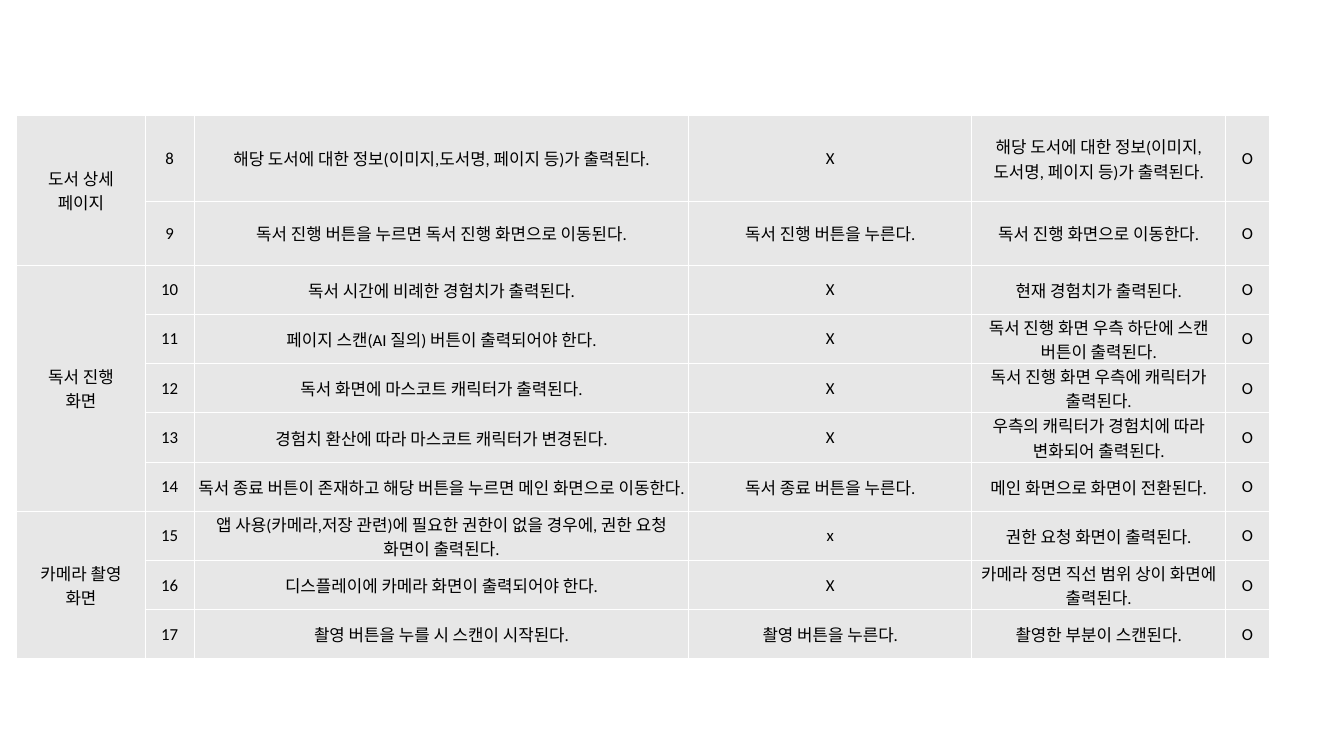
from dataclasses import dataclass

from lxml import etree
from pptx import Presentation
from pptx.dml.color import RGBColor
from pptx.enum import text
from pptx.oxml import ns
from pptx.util import Inches, Pt

BLACK = RGBColor(0x00, 0x00, 0x00)
GRAY = RGBColor(0xE7, 0xE7, 0xE7)
WHITE = RGBColor(0xFF, 0xFF, 0xFF)
FONT = "Calibri"

WIDTHS = [1.91, 0.73, 7.36, 4.21, 3.78, 0.65]
TALL, ROW = 1.29, 0.73
FIRST = 8  # number of the first test
WIDE = (0.21, 0.11, 0.21, 0.11)
TIGHT = (0.01, 0.01, 0.01, 0)


@dataclass
class Test:
    need: str
    result: str
    action: str = "X"
    mark: str = "O"


@dataclass
class Screen:
    name: str
    tests: list[Test]


SCREENS = [
    Screen("도서 상세 페이지", [
        Test("해당 도서에 대한 정보(이미지,도서명, 페이지 등)가 출력된다.",
             "해당 도서에 대한 정보(이미지, 도서명, 페이지 등)가 출력된다."),
        Test("독서 진행 버튼을 누르면 독서 진행 화면으로 이동된다.",
             "독서 진행 화면으로 이동한다.", "독서 진행 버튼을 누른다."),
    ]),
    Screen("독서 진행 화면", [
        Test("독서 시간에 비례한 경험치가 출력된다.",
             "현재 경험치가 출력된다."),
        Test("페이지 스캔(AI 질의) 버튼이 출력되어야 한다.",
             "독서 진행 화면 우측 하단에 스캔 버튼이 출력된다."),
        Test("독서 화면에 마스코트 캐릭터가 출력된다.",
             "독서 진행 화면 우측에 캐릭터가 출력된다."),
        Test("경험치 환산에 따라 마스코트 캐릭터가 변경된다.",
             "우측의 캐릭터가 경험치에 따라 변화되어 출력된다."),
        Test("독서 종료 버튼이 존재하고 해당 버튼을 누르면 메인 화면으로 이동한다.",
             "메인 화면으로 화면이 전환된다.", "독서 종료 버튼을 누른다."),
    ]),
    Screen("카메라 촬영 화면", [
        Test("앱 사용(카메라,저장 관련)에 필요한 권한이 없을 경우에, "
             "권한 요청 화면이 출력된다.",
             "권한 요청 화면이 출력된다.", "x"),
        Test("디스플레이에 카메라 화면이 출력되어야 한다.",
             "카메라 정면 직선 범위 상이 화면에 출력된다."),
        Test("촬영 버튼을 누를 시 스캔이 시작된다.",
             "촬영한 부분이 스캔된다.", "촬영 버튼을 누른다."),
    ]),
]


def set_edges(cell) -> None:
    """Give a cell thin white borders, which must precede its fill."""
    props = cell._tc.get_or_add_tcPr()
    for side in ("a:lnL", "a:lnR", "a:lnT", "a:lnB"):
        line = etree.SubElement(props, ns.qn(side), w=str(Pt(1)))
        fill = etree.SubElement(line, ns.qn("a:solidFill"))
        etree.SubElement(fill, ns.qn("a:srgbClr"), val=str(WHITE))


def style_cell(cell) -> None:
    set_edges(cell)
    cell.fill.solid()
    cell.fill.fore_color.rgb = GRAY


def write_cell(cell, words: str, inset: tuple[float, ...] = TIGHT) -> None:
    cell.vertical_anchor = text.MSO_ANCHOR.MIDDLE
    (cell.margin_left, cell.margin_top,
     cell.margin_right, cell.margin_bottom) = map(Inches, inset)
    cell.text = words
    para = cell.text_frame.paragraphs[0]
    para.alignment = text.PP_ALIGN.CENTER
    para.font.name = FONT
    para.font.size = Pt(18)
    para.font.color.rgb = BLACK


def fill_screen(table, top: int, screen: Screen) -> None:
    """Write one screen's name and its tests from row top down."""
    last = top + len(screen.tests) - 1
    head = table.cell(top, 0)
    head.merge(table.cell(last, 0))
    write_cell(head, screen.name, WIDE)
    for row, test in enumerate(screen.tests, top):
        parts = (str(FIRST + row), test.need, test.action,
                 test.result, test.mark)
        for col, words in enumerate(parts, 1):
            write_cell(table.cell(row, col), words)


def main() -> None:
    deck = Presentation()
    deck.slide_width, deck.slide_height = Inches(20), Inches(11.25)
    slide = deck.slides.add_slide(deck.slide_layouts[6])

    # Table grid
    count = sum(len(screen.tests) for screen in SCREENS)
    heights = [TALL] + [ROW] * (count - 1)
    frame = slide.shapes.add_table(
        count, len(WIDTHS), Inches(0.25), Inches(1.71),
        Inches(sum(WIDTHS)), Inches(sum(heights)))
    table = frame.table
    table.first_row = table.horz_banding = False
    for col, width in zip(table.columns, WIDTHS):
        col.width = Inches(width)
    for row, height in zip(table.rows, heights):
        row.height = Inches(height)
    for cell in table.iter_cells():
        style_cell(cell)

    # Tests grouped by screen
    top = 0
    for screen in SCREENS:
        fill_screen(table, top, screen)
        top += len(screen.tests)

    deck.save("out.pptx")


if __name__ == "__main__":
    main()
